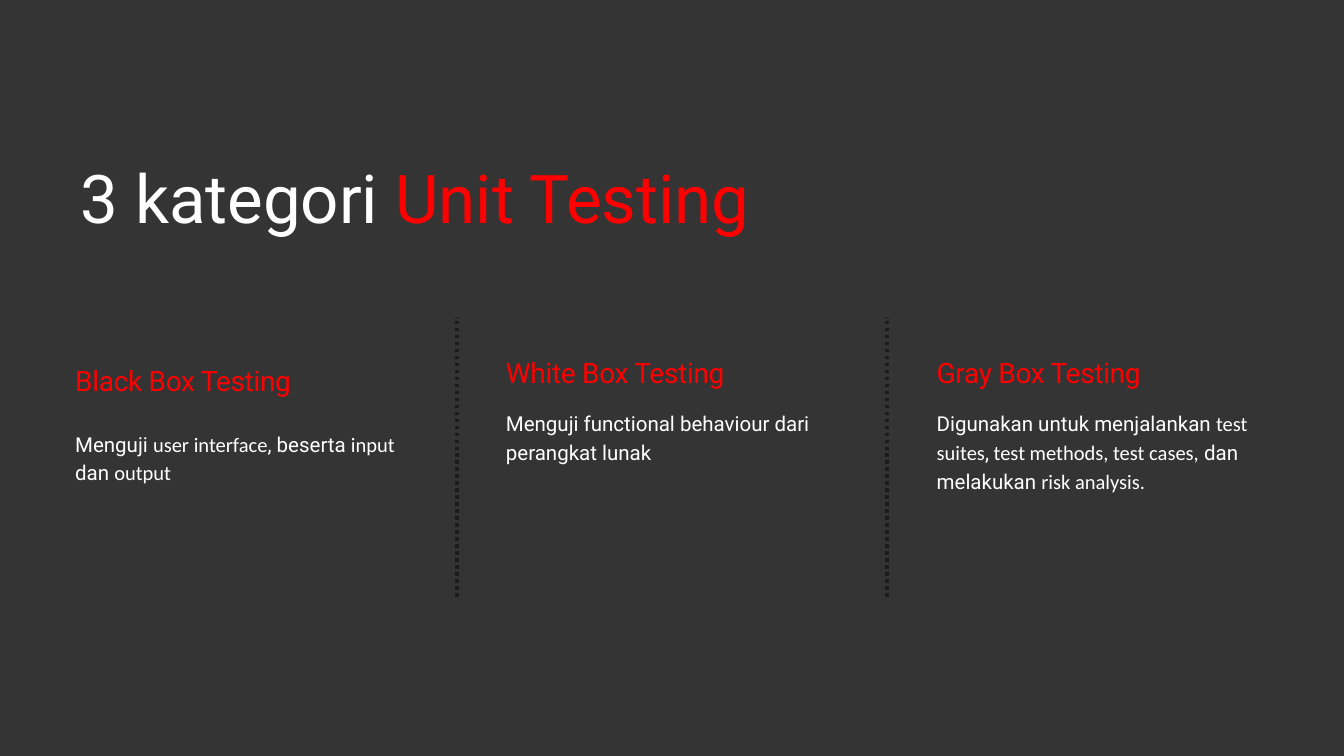
from lxml import etree
from pptx import Presentation
from pptx.dml.color import RGBColor
from pptx.enum.dml import MSO_LINE
from pptx.enum.shapes import MSO_CONNECTOR
from pptx.enum.text import MSO_AUTO_SIZE
from pptx.oxml.ns import qn
from pptx.util import Pt

COLORS = {"background": "343434", "text": "FFFFFF", "accent": "FF0000", "divider": "1B1B1B"}
MAIN, TERM = "Roboto", "Calibri"

# Heading, heading top, body top, body height, body runs (text, font)
CATEGORIES = [
    ("Black Box Testing", 389.5, 457.9, 60,
     [("Menguji ", MAIN), ("user interface", TERM), (", beserta ", MAIN),
      ("input", TERM), (" dan ", MAIN), ("output", TERM)]),
    ("White Box Testing", 380.9, 436.3, 60,
     [("Menguji functional behaviour dari perangkat lunak", MAIN)]),
    ("Gray Box Testing", 380.9, 436.3, 90,
     [("Digunakan untuk menjalankan ", MAIN), ("test suites", TERM), (",", MAIN),
      (" test methods, test cases,", TERM), (" dan melakukan ", MAIN),
      ("risk analysis.", TERM)]),
]


def rgb(name):
    return RGBColor.from_string(COLORS[name])


def add_text(s, left, top, width, height, runs, size, line_height, spacing=0):
    """Add one paragraph made of (text, font, colour) runs."""
    box = s.shapes.add_textbox(Pt(left), Pt(top), Pt(width), Pt(height))
    tf = box.text_frame
    tf.word_wrap = True
    tf.auto_size = MSO_AUTO_SIZE.SHAPE_TO_FIT_TEXT
    tf.margin_left = tf.margin_top = tf.margin_right = tf.margin_bottom = 0
    p = tf.paragraphs[0]
    p.line_spacing = Pt(line_height)
    for text, font, color in runs:
        r = p.add_run()
        r.text = text
        r.font.name = font
        r.font.size = Pt(size)
        r.font.color.rgb = rgb(color)
        if spacing:
            r._r.get_or_add_rPr().set("spc", str(round(spacing * 100)))


def add_title(s, left, top, width, height):
    runs = [("3 kategori ", MAIN, "text"), ("Unit Testing", MAIN, "accent")]
    add_text(s, left, top, width, height, runs, 72, 86.4)


def add_category(s, left, width, category):
    heading, heading_top, body_top, body_height, body = category
    add_text(s, left, body_top, width, body_height,
             [(text, font, "text") for text, font in body], 22, 30.8)
    add_text(s, left, heading_top, width, 36, [(heading, MAIN, "accent")], 30, 36, -0.3)


def add_divider(s, x, top, height):
    line = s.shapes.add_connector(MSO_CONNECTOR.STRAIGHT,
                                  Pt(x), Pt(top + height), Pt(x), Pt(top))
    line.line.color.rgb = rgb("divider")
    line.line.width = Pt(3.75)
    line.line.dash_style = MSO_LINE.ROUND_DOT
    etree.SubElement(line._element.spPr, qn("a:effectLst"))


def main():
    prs = Presentation()
    prs.slide_width, prs.slide_height = Pt(1440), Pt(810)
    s = prs.slides.add_slide(prs.slide_layouts[6])
    s.background.fill.solid()
    s.background.fill.fore_color.rgb = rgb("background")

    add_title(s, 86.4, 167.8, 866, 87)

    # Three columns with dotted dividers between them
    for i, category in enumerate(CATEGORIES):
        add_category(s, 80.6 + 461.5 * i, 355.7, category)
    for i in range(len(CATEGORIES) - 1):
        add_divider(s, 489.6 + 460.8 * i, 339.8, 299.5)

    prs.save("out.pptx")


if __name__ == "__main__":
    main()
